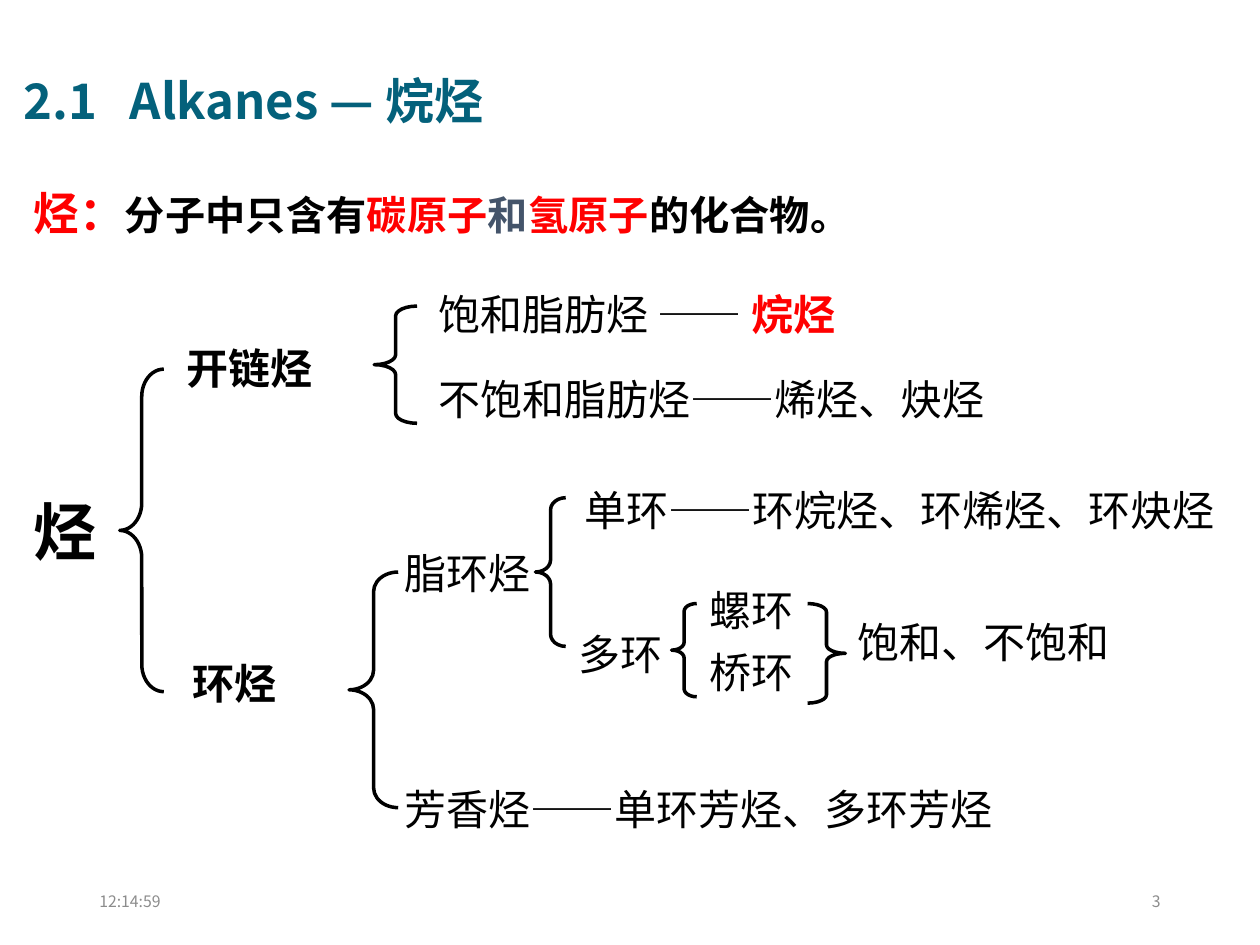
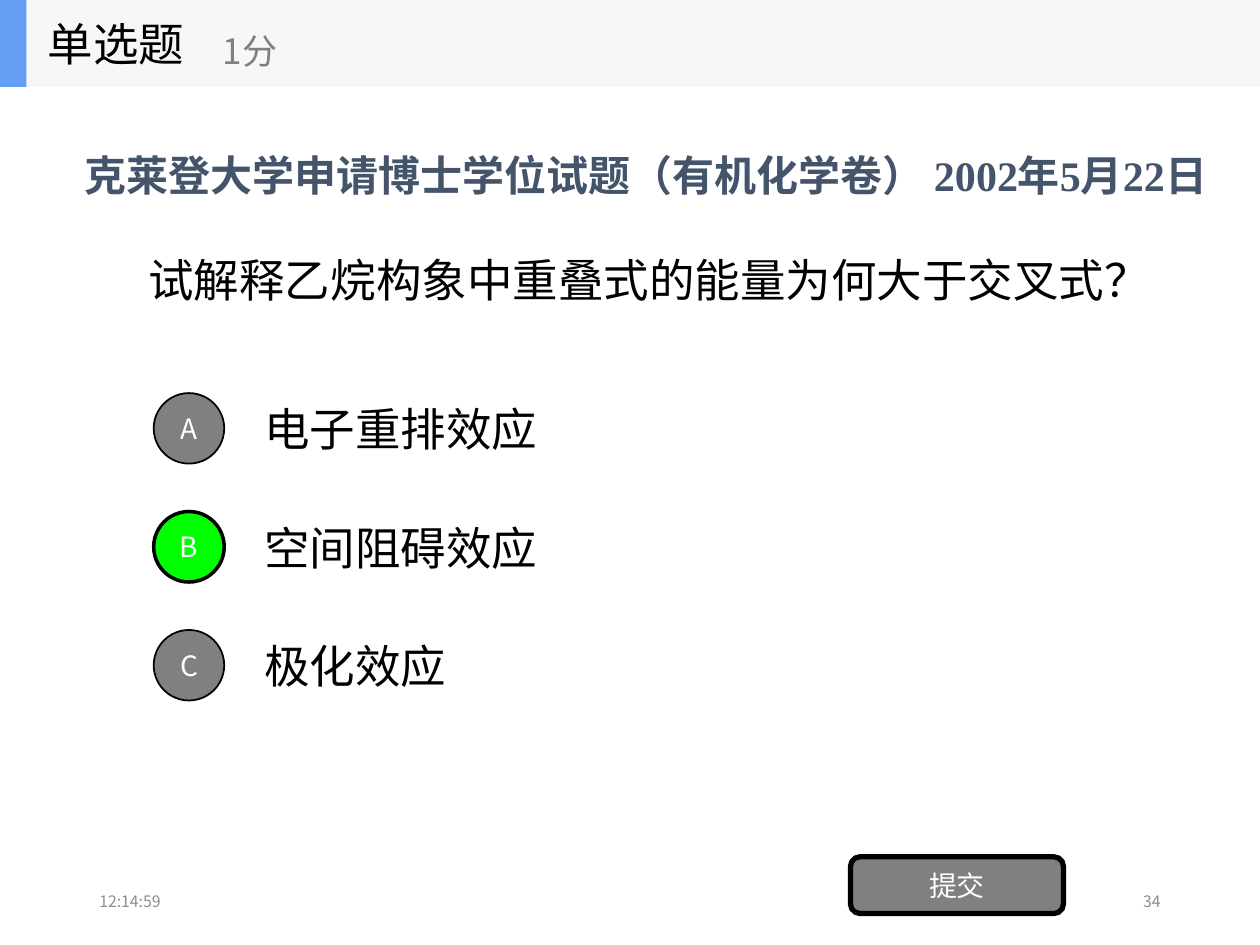
from dataclasses import dataclass, replace
from typing import Optional

from lxml import etree
from pptx import Presentation
from pptx.dml.color import RGBColor
from pptx.enum.shapes import MSO_SHAPE
from pptx.enum.text import MSO_ANCHOR, MSO_AUTO_SIZE, PP_ALIGN
from pptx.oxml.ns import qn
from pptx.util import Inches, Pt

TOP, MIDDLE = MSO_ANCHOR.TOP, MSO_ANCHOR.MIDDLE
LEFT, CENTER, RIGHT = PP_ALIGN.LEFT, PP_ALIGN.CENTER, PP_ALIGN.RIGHT
LEFT_BRACE, RIGHT_BRACE = MSO_SHAPE.LEFT_BRACE, MSO_SHAPE.RIGHT_BRACE
RECTANGLE, ROUNDED, OVAL = MSO_SHAPE.RECTANGLE, MSO_SHAPE.ROUNDED_RECTANGLE, MSO_SHAPE.OVAL
TITLE_ONLY = 5


@dataclass(frozen=True)
class Theme:
    black: str = "000000"
    white: str = "FFFFFF"
    red: str = "FF0000"
    slate: str = "44546A"
    teal: str = "04617B"
    grey: str = "808080"
    footer_grey: str = "8C8C8C"
    green: str = "00FF00"
    band: str = "F6F7F8"
    accent: str = "639EF4"
    sans: str = "Noto Sans CJK SC"
    serif: str = "Times New Roman"
    term_font: str = "Arial"
    title_size: int = 28
    root_size: int = 36
    quiz_size: int = 26
    tree_size: int = 24
    definition_size: int = 23
    score_size: int = 20
    button_size: int = 16
    footer_size: int = 9


THEME = Theme()


@dataclass(frozen=True)
class Style:
    size: int
    color: str = THEME.black
    bold: bool = False
    font: str = THEME.sans


@dataclass(frozen=True)
class Span:
    text: str
    style: Style


@dataclass(frozen=True)
class Box:
    left: float
    top: float
    width: float
    height: float


@dataclass(frozen=True)
class Label:
    box: Box
    paragraphs: tuple[tuple[Span, ...], ...]
    gap: float = 0


@dataclass(frozen=True)
class Brace:
    box: Box
    curve: float
    kind: int = LEFT_BRACE


@dataclass(frozen=True)
class Option:
    letter: str
    answer: str
    correct: bool = False


TREE = Style(THEME.tree_size, font=THEME.serif)
TREE_BOLD = replace(TREE, bold=True)
TREE_RED = replace(TREE_BOLD, color=THEME.red)
ROOT = replace(TREE_BOLD, size=THEME.root_size)
TERM = Style(THEME.quiz_size, THEME.red, True, THEME.term_font)
DEFINITION = Style(THEME.definition_size, bold=True, font=THEME.serif)
DEFINITION_RED = replace(DEFINITION, color=THEME.red)
TITLE = Style(THEME.title_size, THEME.teal, True)
EXAM = Style(THEME.tree_size, THEME.slate, True, THEME.serif)
QUIZ = Style(THEME.quiz_size)
SCORE = Style(THEME.score_size, THEME.grey)
BUTTON = Style(THEME.button_size, THEME.white)
FOOTER = Style(THEME.footer_size, THEME.footer_grey)


def lengths(box: Box) -> tuple:
    return tuple(Inches(v) for v in (box.left, box.top, box.width, box.height))


def apply_style(font, style: Style) -> None:
    font.size = Pt(style.size)
    font.bold = style.bold
    font.color.rgb = RGBColor.from_string(style.color)
    font.name = style.font
    # Chinese glyphs share one face
    etree.SubElement(font._rPr, qn("a:ea"), typeface=THEME.sans)


def write(frame, paragraphs, anchor=TOP, align=LEFT, gap: float = 0) -> None:
    frame.word_wrap = True
    frame.auto_size = MSO_AUTO_SIZE.NONE
    frame.vertical_anchor = anchor
    for index, spans in enumerate(paragraphs):
        paragraph = frame.add_paragraph() if index else frame.paragraphs[0]
        paragraph.alignment = align
        if index:
            paragraph.space_before = Pt(gap)
        uniform = len({span.style for span in spans}) == 1
        if uniform:
            apply_style(paragraph.font, spans[0].style)
        for span in spans:
            run = paragraph.add_run()
            run.text = span.text
            if not uniform:
                apply_style(run.font, span.style)


def add_text(slide, box: Box, text: str, style: Style, anchor=MIDDLE, align=LEFT) -> None:
    frame = slide.shapes.add_textbox(*lengths(box)).text_frame
    write(frame, ((Span(text, style),),), anchor, align)


def add_label(slide, label: Label) -> None:
    frame = slide.shapes.add_textbox(*lengths(label.box)).text_frame
    write(frame, label.paragraphs, gap=label.gap)


def add_panel(slide, kind: int, box: Box, fill: Optional[str] = None, line: float = 0):
    shape = slide.shapes.add_shape(kind, *lengths(box))
    shape.shadow.inherit = False
    if fill:
        shape.fill.solid()
        shape.fill.fore_color.rgb = RGBColor.from_string(fill)
    else:
        shape.fill.background()
    if line:
        shape.line.color.rgb = RGBColor.from_string(THEME.black)
        shape.line.width = Pt(line)
    else:
        shape.line.fill.background()
    return shape


def add_brace(slide, brace: Brace) -> None:
    shape = add_panel(slide, brace.kind, brace.box, line=2)
    shape.adjustments[0] = brace.curve


def add_button(slide, kind: int, box: Box, text: str, fill: str, line: float) -> None:
    shape = add_panel(slide, kind, box, fill, line)
    write(shape.text_frame, ((Span(text, BUTTON),),), MIDDLE, CENTER)


def new_slide(prs, title: str, box: Box, style: Style, number: int, align=LEFT):
    slide = prs.slides.add_slide(prs.slide_layouts[TITLE_ONLY])
    heading = slide.shapes.title
    heading.left, heading.top, heading.width, heading.height = lengths(box)
    write(heading.text_frame, ((Span(title, style),),), align=align)
    add_text(slide, Box(0.69, 6.95, 2.25, 0.4), "12:14:59", FOOTER)
    add_text(slide, Box(7.06, 6.95, 2.25, 0.4), str(number), FOOTER, align=RIGHT)
    return slide


def tree_label(left: float, top: float, width: float, *lines: str,
               style: Style = TREE, gap: float = 0) -> Label:
    return Label(Box(left, top, width, 0.5 * len(lines)),
                 tuple((Span(line, style),) for line in lines), gap)


# Hydrocarbon classification
HYDROCARBON_DEFINITION = Label(Box(0.17, 1.42, 7.05, 0.54), ((
    Span("烃：", TERM),
    Span("分子中只含有", DEFINITION),
    Span("碳原子", DEFINITION_RED),
    Span("和", replace(DEFINITION, color=THEME.slate)),
    Span("氢原子", DEFINITION_RED),
    Span("的化合物。", DEFINITION),
),))
ALIPHATIC_CLASSES = Label(Box(3.38, 2.24, 4.87, 1.92), (
    (Span("饱和脂肪烃 —— ", TREE), Span("烷烃", TREE_RED)),
    (Span("不饱和脂肪烃——烯烃、炔烃", TREE),),
), gap=19.5)
TREE_LABELS = (
    HYDROCARBON_DEFINITION,
    ALIPHATIC_CLASSES,
    tree_label(0.17, 3.86, 0.64, "烃", style=ROOT),
    tree_label(1.38, 2.67, 1.72, "开链烃", style=TREE_BOLD),
    tree_label(1.43, 5.17, 1.46, "环烃", style=TREE_BOLD),
    tree_label(3.11, 4.3, 1.23, "脂环烃"),
    tree_label(3.11, 6.17, 6.01, "芳香烃——单环芳烃、多环芳烃"),
    tree_label(4.54, 3.8, 5.27, "单环——环烷烃、环烯烃、环炔烃"),
    tree_label(4.49, 4.94, 0.98, "多环"),
    tree_label(5.53, 4.59, 1.03, "螺环", "桥环", gap=6.5),
    tree_label(6.71, 4.84, 2.31, "饱和、不饱和"),
)
TREE_BRACES = (
    Brace(Box(0.95, 2.93, 0.35, 2.56), 0.62),
    Brace(Box(2.97, 2.43, 0.34, 0.93), 0.23),
    Brace(Box(2.77, 4.54, 0.39, 1.87), 0.4),
    Brace(Box(4.25, 3.95, 0.24, 1.18), 0.4),
    Brace(Box(5.33, 4.79, 0.2, 0.74), 0.31),
    Brace(Box(6.41, 4.79, 0.3, 0.79), 0.22, RIGHT_BRACE),
)


def build_classification(prs) -> None:
    slide = new_slide(prs, "2.1\tAlkanes — 烷烃", Box(0.09, 0.42, 4.16, 0.67), TITLE, 3)
    # The hanging indent sets where the title continues after its number
    heading = slide.shapes.title.text_frame.paragraphs[0]
    heading.line_spacing = 1.2
    properties = heading._p.get_or_add_pPr()
    properties.set("marL", str(Inches(0.84)))
    properties.set("indent", str(-Inches(0.84)))
    for label in TREE_LABELS:
        add_label(slide, label)
    for brace in TREE_BRACES:
        add_brace(slide, brace)


# Single-choice question
OPTIONS = (
    Option("A", "电子重排效应"),
    Option("B", "空间阻碍效应", correct=True),
    Option("C", "极化效应"),
)
OPTION_TOP, OPTION_PITCH = 3.05, 0.94


def build_question(prs) -> None:
    slide = new_slide(prs, "克莱登大学申请博士学位试题（有机化学卷） 2002年5月22日",
                      Box(0.5, 1.14, 9.25, 0.51), EXAM, 34, CENTER)
    # Header band
    add_panel(slide, RECTANGLE, Box(0, 0, 10, 0.69), THEME.band)
    add_panel(slide, RECTANGLE, Box(0, 0, 0.21, 0.69), THEME.accent)
    add_text(slide, Box(0.28, 0, 2.08, 0.69), "单选题", QUIZ)
    add_text(slide, Box(1.67, 0.12, 2.5, 0.56), "1分", SCORE)
    # Question and answers
    add_text(slide, Box(1.08, 1.05, 8, 2.34), "试解释乙烷构象中重叠式的能量为何大于交叉式？", QUIZ)
    for index, option in enumerate(OPTIONS):
        top = OPTION_TOP + index * OPTION_PITCH
        add_text(slide, Box(2, top, 7, 0.7), option.answer, QUIZ)
        fill, line = (THEME.green, 2) if option.correct else (THEME.grey, 1)
        add_button(slide, OVAL, Box(1.22, top + 0.07, 0.56, 0.56), option.letter, fill, line)
    add_button(slide, ROUNDED, Box(6.75, 6.8, 1.69, 0.45), "提交", THEME.grey, 3)


def main() -> None:
    prs = Presentation()
    prs.slide_width, prs.slide_height = Inches(10), Inches(7.5)
    build_classification(prs)
    build_question(prs)
    prs.save("out.pptx")


if __name__ == "__main__":
    main()
